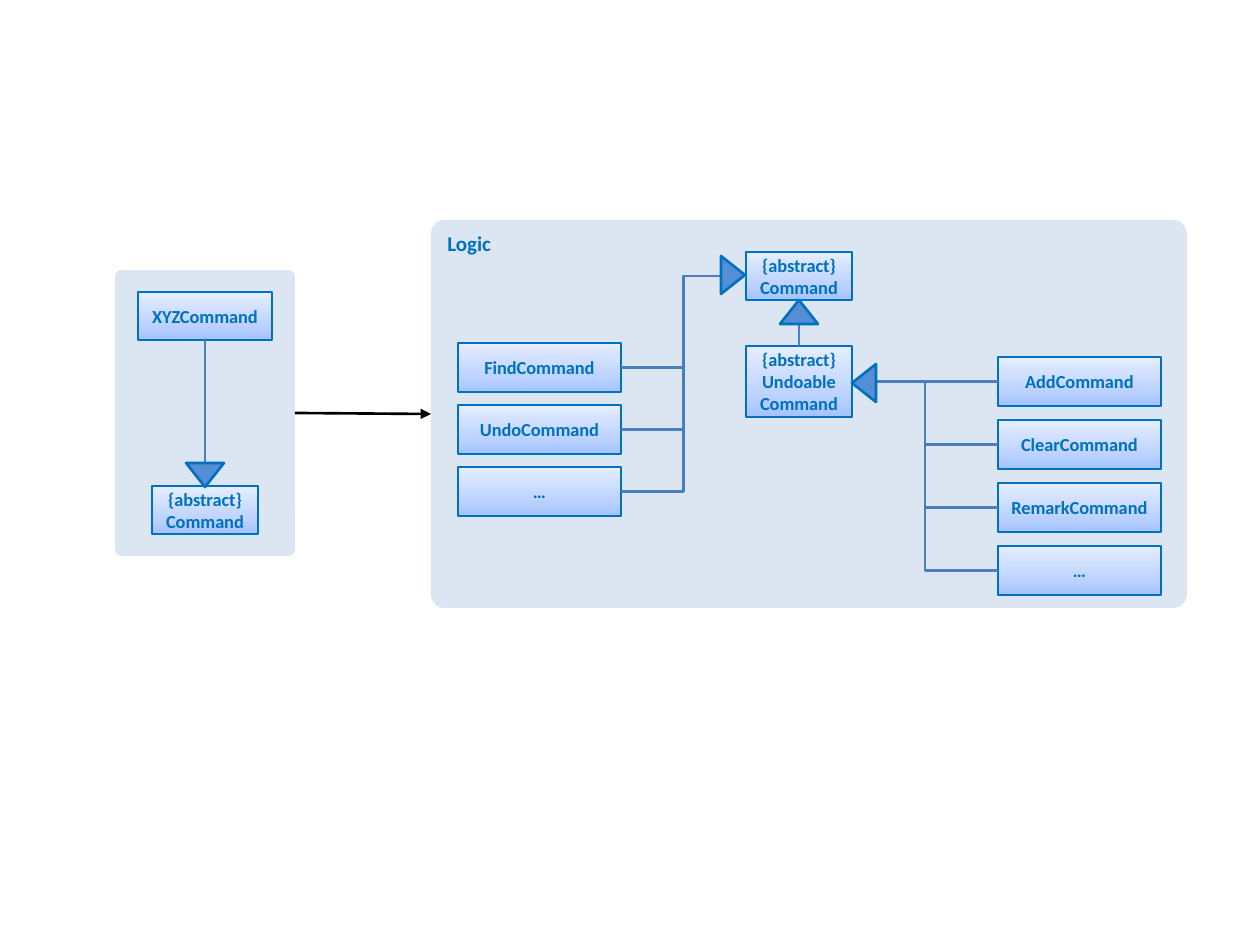
import copy
import dataclasses

import pptx
import pptx.dml.color
import pptx.enum.shapes
import pptx.enum.text
import pptx.oxml.ns
import pptx.util
from lxml import etree

SCALE = 914400 / 126  # EMU per px
KIND = pptx.enum.shapes.MSO_SHAPE
WIRE = pptx.enum.shapes.MSO_CONNECTOR
ALIGN = pptx.enum.text.PP_ALIGN
ANCHOR = pptx.enum.text.MSO_ANCHOR
TOP, LEFT, BOTTOM, RIGHT = range(4)
HEAD_W, HEAD_H = 38, 24


@dataclasses.dataclass(frozen=True)
class Theme:
    font: str = "Calibri"
    panel: str = "DCE6F2"
    ink: str = "0070C0"
    wire: str = "4B7EBC"
    head: str = "558ED5"
    black: str = "000000"
    grad: tuple = ((0, "A4C4FF"), (0.35, "BFD4FF"), (1, "E6EEFF"))
    line: float = 1.5
    label: float = 10.5
    title: float = 12


def px(num):
    return pptx.util.Emu(round(num * SCALE))


def rgb(code):
    return pptx.dml.color.RGBColor.from_string(code)


def put_text(frame, text, *, font, size, color, align, anchor):
    """Fill a frame: \\n starts a paragraph, \\v breaks a line."""
    frame.word_wrap = True
    frame.vertical_anchor = anchor
    frame.text = text
    for para in frame.paragraphs:
        para.alignment = align
        for run in para.runs:
            run.font.name = font
            run.font.size = pptx.util.Pt(size)
            run.font.bold = True
            run.font.color.rgb = rgb(color)


class Chart:
    def __init__(self, slide, theme):
        self.slide = slide
        self.theme = theme

    def shape(self, kind, x, y, w, h, fill=None, line=None):
        item = self.slide.shapes.add_shape(kind, px(x), px(y), px(w), px(h))
        item.shadow.inherit = False
        if fill:
            item.fill.solid()
            item.fill.fore_color.rgb = rgb(fill)
        if line:
            item.line.color.rgb = rgb(line)
            item.line.width = pptx.util.Pt(self.theme.line)
        else:
            item.line.fill.background()
        return item

    def panel(self, x, y, w, h, text=""):
        item = self.shape(KIND.ROUNDED_RECTANGLE, x, y, w, h, self.theme.panel)
        item.adjustments[0] = 0.035
        if text:
            put_text(item.text_frame, text, font=self.theme.font,
                     size=self.theme.title, color=self.theme.ink,
                     align=ALIGN.LEFT, anchor=ANCHOR.TOP)
        return item

    def box(self, text, x, y, w, h):
        item = self.shape(KIND.RECTANGLE, x, y, w, h, line=self.theme.ink)
        item.fill.gradient()
        item.fill.gradient_angle = 90
        # A new gradient has two stops; add the middle one
        stop = item._element.spPr.find(".//" + pptx.oxml.ns.qn("a:gs"))
        stop.addnext(copy.deepcopy(stop))
        for stop, (pos, code) in zip(item.fill.gradient_stops, self.theme.grad):
            stop.position = pos
            stop.color.rgb = rgb(code)
        put_text(item.text_frame, text, font=self.theme.font,
                 size=self.theme.label, color=self.theme.ink,
                 align=ALIGN.CENTER, anchor=ANCHOR.MIDDLE)
        return item

    def stack(self, names, x, y, step):
        return [self.box(name, x, y + i * step, 163, 49)
                for i, name in enumerate(names)]

    def link(self, start, side, end, port, kind=WIRE.STRAIGHT, color=None,
             arrow=False):
        item = self.slide.shapes.add_connector(kind, 0, 0, 0, 0)
        item.begin_connect(start, side)
        item.end_connect(end, port)
        item.line.color.rgb = rgb(color or self.theme.wire)
        item.line.width = pptx.util.Pt(self.theme.line)
        qn = pptx.oxml.ns.qn
        if arrow:
            etree.SubElement(item.line._get_or_add_ln(), qn("a:tailEnd"),
                             type="triangle")
        etree.SubElement(item._element.spPr, qn("a:effectLst"))

    def head(self, mid_x, mid_y, turn):
        item = self.shape(KIND.ISOSCELES_TRIANGLE, mid_x - HEAD_W / 2,
                          mid_y - HEAD_H / 2, HEAD_W, HEAD_H,
                          self.theme.head, self.theme.ink)
        item.rotation = turn


def main():
    deck = pptx.Presentation()
    deck.slide_width, deck.slide_height = px(1260), px(945)
    theme = Theme()
    chart = Chart(deck.slides.add_slide(deck.slide_layouts[6]), theme)

    # Panels
    side = chart.panel(115, 270, 180, 286)
    logic = chart.panel(431, 220, 756, 388, "Logic")

    # Abstract classes
    base = chart.box("{abstract}\vCommand", 746, 252, 106, 48)
    undo = chart.box("{abstract}\vUndoable\nCommand", 746, 346, 106, 71)
    chart.link(base, BOTTOM, undo, TOP)
    chart.head(799, 312, 0)

    # Commands that can be undone
    for leaf in chart.stack(
            ["AddCommand", "ClearCommand", "RemarkCommand", "…"], 998, 357, 63):
        chart.link(undo, RIGHT, leaf, LEFT, WIRE.ELBOW)
    chart.head(864, 383, 270)

    # Other commands
    for leaf in chart.stack(["FindCommand", "UndoCommand", "…"], 458, 343, 62):
        chart.link(base, LEFT, leaf, RIGHT, WIRE.ELBOW)
    chart.head(733, 275, 90)

    # Generic command in the side panel
    xyz = chart.box("XYZCommand", 138, 292, 134, 48)
    root = chart.box("{abstract}\vCommand", 152, 486, 106, 48)
    chart.link(xyz, BOTTOM, root, TOP)
    chart.head(205, 475, 180)

    # Step from the side panel to the logic panel
    chart.link(side, RIGHT, logic, LEFT, color=theme.black, arrow=True)

    deck.save("out.pptx")


if __name__ == "__main__":
    main()
